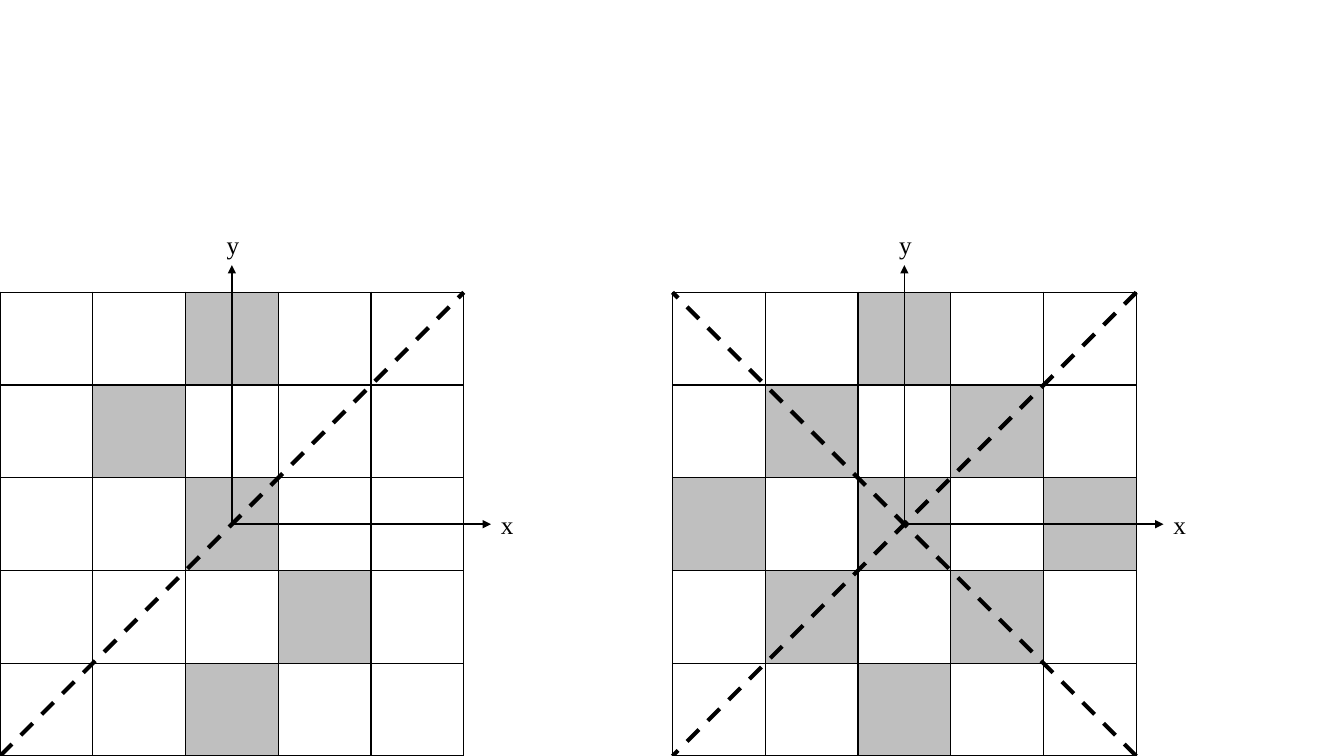
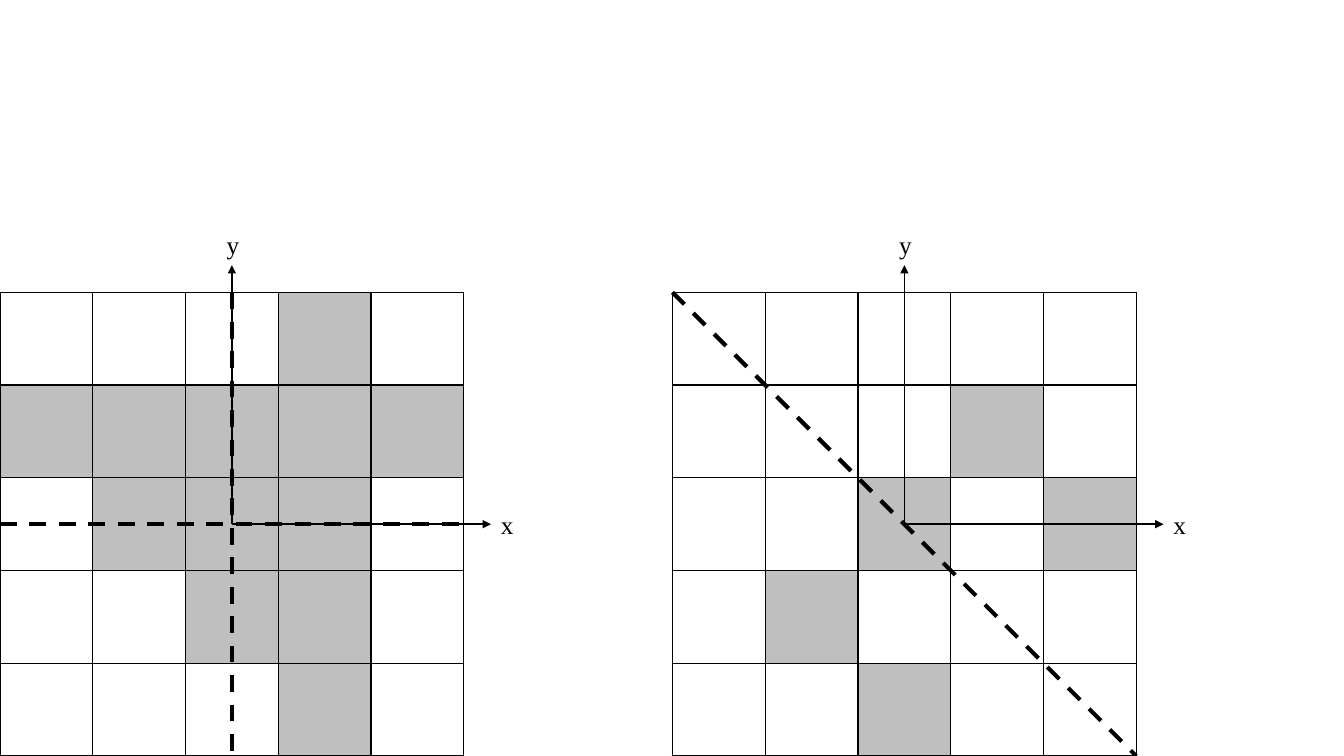
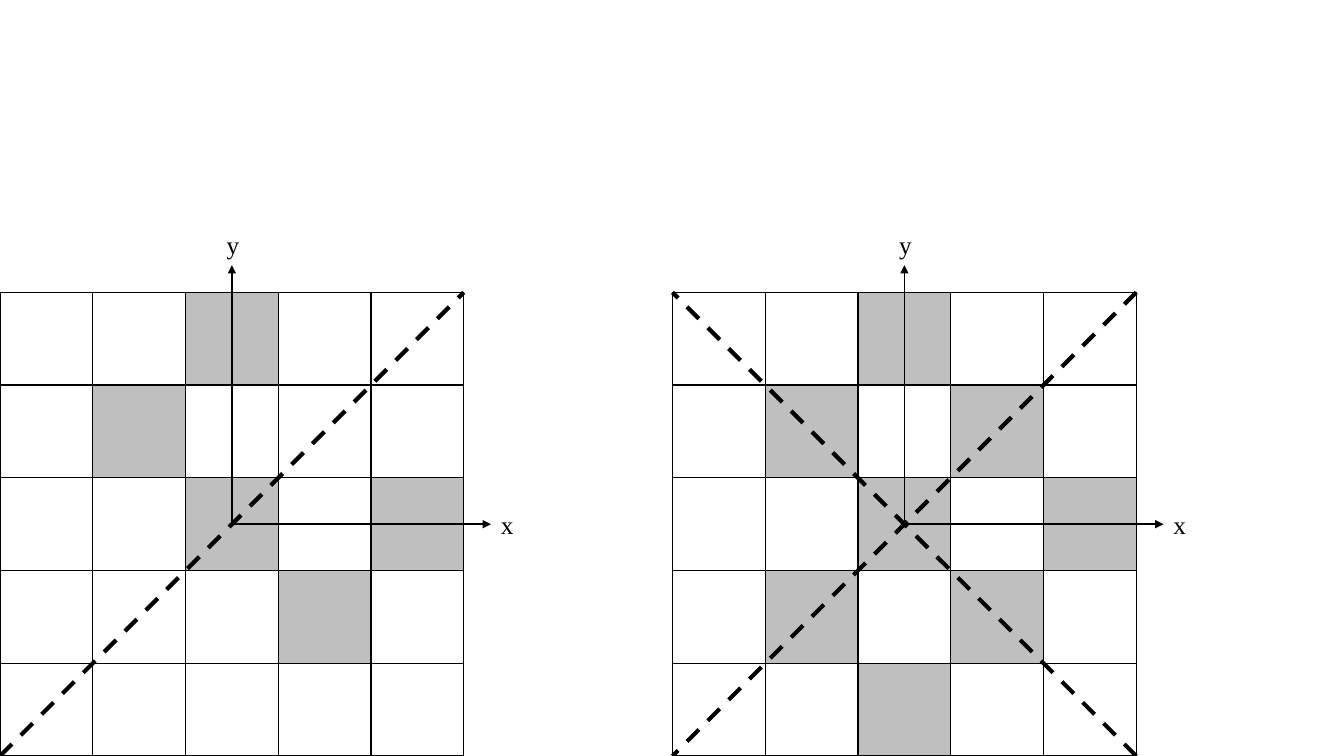
"""Draw pairs of five-by-five grids with axes and dashed symmetry lines."""
from dataclasses import dataclass

from lxml.etree import SubElement
from pptx import Presentation
from pptx.dml.color import RGBColor
from pptx.enum.dml import MSO_LINE
from pptx.enum.shapes import MSO_CONNECTOR
from pptx.enum.text import MSO_AUTO_SIZE
from pptx.oxml.ns import qn
from pptx.slide import Slide
from pptx.table import _Cell
from pptx.util import Inches, Pt

BLACK = "000000"
FILLS = {"#": "BFBFBF", "o": "FFFFFF"}
FONT = "Times New Roman"
CELL, COUNT = 0.92, 5
SIDE = CELL * COUNT
HALF = SIDE / 2
TOP = 2.9
LEFT_GRID, RIGHT_GRID = 0, 6.67
AXIS = 2.57
LABEL_W, LABEL_H = 0.33, 0.4

Point = tuple[float, float]
RISING = ((0, SIDE), (SIDE, 0))
RISING_REVERSED = ((SIDE, 0), (0, SIDE))
FALLING = ((0, 0), (SIDE, SIDE))
FALLING_REVERSED = ((SIDE, SIDE), (0, 0))
HORIZONTAL = ((0, HALF), (SIDE, HALF))
VERTICAL = ((HALF, 0), (HALF, SIDE))


@dataclass(frozen=True)
class Panel:
    """A grid pattern with its symmetry lines, measured from its corner."""
    left: float
    pattern: str
    mirrors: tuple[tuple[Point, Point], ...]


SLIDES = (
    (Panel(LEFT_GRID, "..#.. .#... ..#.. ...#. ..#..", (RISING,)),
     Panel(RIGHT_GRID, "..#.. .#.#. #.#.# .#.#. ..#..",
           (RISING_REVERSED, FALLING_REVERSED))),
    (Panel(RIGHT_GRID, "..... ...#. ..#.# .#... ..#..", (FALLING,)),
     Panel(LEFT_GRID, "...#. ##### .###. ..##. ...#.", (HORIZONTAL, VERTICAL))),
    (Panel(LEFT_GRID, "..#.. .#... ..#.# ...#. .....", (RISING,)),
     Panel(RIGHT_GRID, "..#.. .#.#. o.#.# .#.#. ..#..",
           (RISING_REVERSED, FALLING_REVERSED))),
)


def rgb(color: str) -> RGBColor:
    """Turn a hex string into a colour."""
    return RGBColor.from_string(color)


def style_cell(cell: _Cell, mark: str) -> None:
    """Border a cell and fill it according to its mark."""
    tc_pr = cell._tc.get_or_add_tcPr()
    for edge in ("a:lnL", "a:lnR", "a:lnT", "a:lnB"):
        ln = SubElement(tc_pr, qn(edge), w=str(Pt(1)))
        SubElement(SubElement(ln, qn("a:solidFill")), qn("a:srgbClr"), val=BLACK)
    if mark in FILLS:
        cell.fill.solid()
        cell.fill.fore_color.rgb = rgb(FILLS[mark])
    else:
        cell.fill.background()


def add_grid(s: Slide, panel: Panel) -> None:
    """Add the table of square cells."""
    table = s.shapes.add_table(COUNT, COUNT, Inches(panel.left), Inches(TOP),
                               Inches(SIDE), Inches(SIDE)).table
    table.first_row = table.horz_banding = False
    for line in (*table.columns, *table.rows):
        if line in tuple(table.columns):
            line.width = Inches(CELL)
        else:
            line.height = Inches(CELL)
    for cell, mark in zip(table.iter_cells(), panel.pattern.replace(" ", "")):
        style_cell(cell, mark)


def add_line(s: Slide, panel: Panel, start: Point, end: Point,
             mirror: bool = False) -> None:
    """Add a dashed mirror line or a thin axis with an arrowhead."""
    (x1, y1), (x2, y2) = start, end
    sp = s.shapes.add_connector(
        MSO_CONNECTOR.STRAIGHT, Inches(panel.left + x1), Inches(TOP + y1),
        Inches(panel.left + x2), Inches(TOP + y2))
    sp.line.color.rgb = rgb(BLACK)
    sp.line.width = Pt(3 if mirror else 1)
    if mirror:
        sp.line.dash_style = MSO_LINE.DASH
    else:
        SubElement(sp.line._get_or_add_ln(), qn("a:tailEnd"), type="triangle")
    SubElement(sp._element.spPr, qn("a:effectLst"))


def add_label(s: Slide, panel: Panel, text: str, at: Point) -> None:
    """Add the name of an axis."""
    sp = s.shapes.add_textbox(Inches(panel.left + at[0]), Inches(TOP + at[1]),
                              Inches(LABEL_W), Inches(LABEL_H))
    tf = sp.text_frame
    tf.word_wrap = False
    tf.auto_size = MSO_AUTO_SIZE.SHAPE_TO_FIT_TEXT
    p = tf.paragraphs[0]
    p.text = text
    p.font.name = FONT
    p.font.size = Pt(18)
    p.font.color.rgb = rgb(BLACK)


def add_panel(s: Slide, panel: Panel) -> None:
    """Add a grid, its axes and its mirror lines."""
    add_grid(s, panel)
    centre = (HALF, HALF)
    add_line(s, panel, centre, (HALF, HALF - AXIS))
    add_line(s, panel, centre, (HALF + AXIS, HALF))
    add_label(s, panel, "y", (HALF - 0.15, HALF - AXIS - LABEL_H))
    add_label(s, panel, "x", (HALF + AXIS, HALF - LABEL_H / 2))
    for start, end in panel.mirrors:
        add_line(s, panel, start, end, mirror=True)


def main() -> None:
    """Build and save the presentation."""
    prs = Presentation()
    prs.slide_width, prs.slide_height = Inches(13.33), Inches(7.5)
    for panels in SLIDES:
        s = prs.slides.add_slide(prs.slide_layouts[6])
        for panel in panels:
            add_panel(s, panel)
    prs.save("out.pptx")


main()
